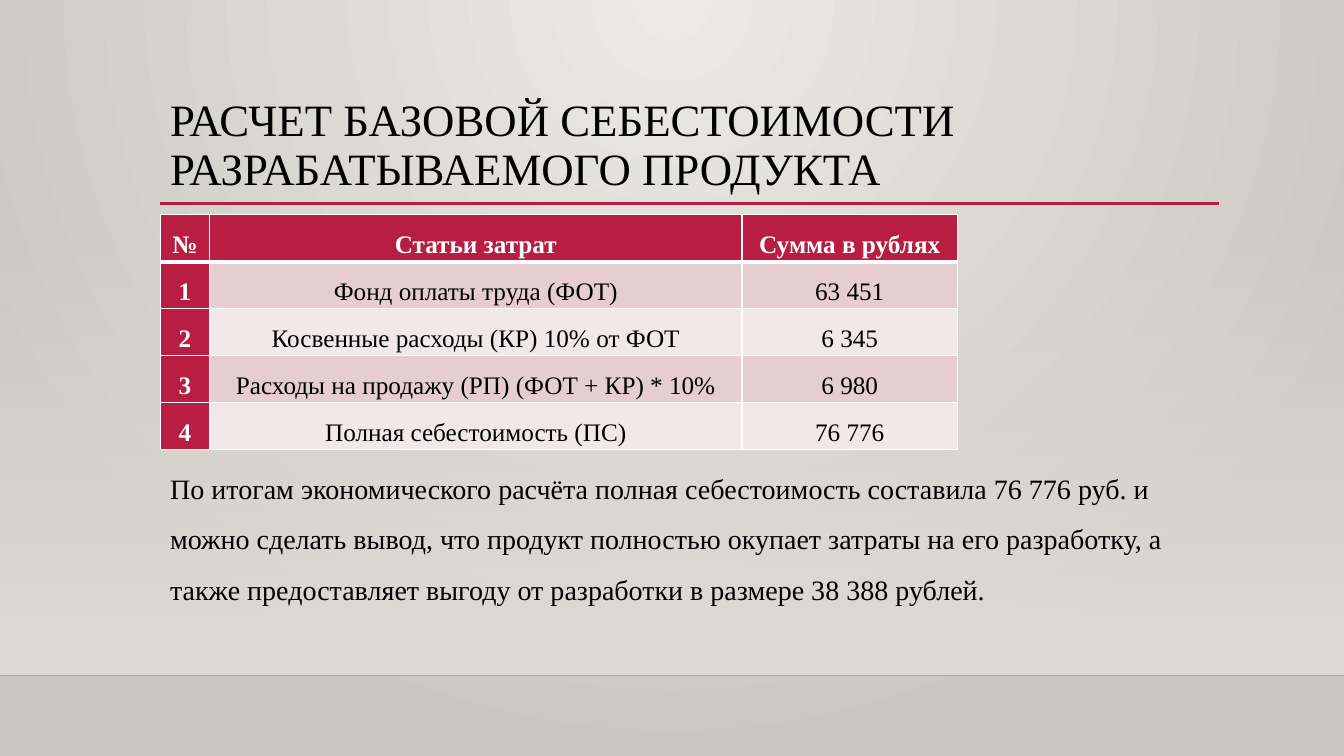
from lxml import etree
from pptx import Presentation
from pptx import util as u
from pptx.dml import color
from pptx.enum import shapes, text
from pptx.oxml import ns

FONT = "Times New Roman"
COLORS = {
    "light": "ECEAE7", "dark": "CAC7C1", "wall": "DFDBD5", "edge": "000001",
    "accent": "B71E42", "odd": "E6CDCF", "even": "F3E8E9",
    "ink": "000000", "white": "FFFFFF",
}
TITLE = "РАСЧЕТ БАЗОВОЙ СЕБЕСТОИМОСТИ РАЗРАБАТЫВАЕМОГО ПРОДУКТА"
COSTS = [
    ("№", "Статьи затрат", "Сумма в рублях"),
    ("1", "Фонд оплаты труда (ФОТ)", "63 451"),
    ("2", "Косвенные расходы (КР) 10% от ФОТ", "6 345"),
    ("3", "Расходы на продажу (РП) (ФОТ + КР) * 10%", "6 980"),
    ("4", "Полная себестоимость (ПС)", "76 776"),
]
CONCLUSION = (
    "По итогам экономического расчёта полная себестоимость составила 76 776 руб. "
    "и можно сделать вывод, что продукт полностью окупает затраты на его разработку, "
    "а также предоставляет выгоду от разработки в размере 38 388 рублей."
)


def rgb(name):
    """Return the named colour."""
    return color.RGBColor.from_string(COLORS[name])


def add(parent, tag, **attributes):
    """Append a DrawingML element and return it."""
    return etree.SubElement(parent, ns.qn(tag), attributes)


def set_gradient(fill, names):
    """Give a fill a gradient between two named colours."""
    fill.gradient()
    for stop, name in zip(fill.gradient_stops, names):
        stop.color.rgb = rgb(name)


def set_alpha(shape, percent):
    """Make the first colour of a shape transparent."""
    first = next(shape._element.spPr.iter(ns.qn("a:srgbClr")))
    add(first, "a:alpha", val=str(percent * 1000))


def style(paragraph, size, ink, spacing, bold=False):
    """Set the font and line spacing of a paragraph."""
    font = paragraph.font
    font.name, font.size, font.bold = FONT, u.Pt(size), bold
    font.color.rgb = rgb(ink)
    paragraph.line_spacing = spacing


def draw_rule(slide, left, top, width, ink, weight):
    """Draw a horizontal line without a shadow."""
    rule = slide.shapes.add_connector(
        shapes.MSO_CONNECTOR.STRAIGHT, u.Pt(left), u.Pt(top), u.Pt(left + width), u.Pt(top))
    rule.line.color.rgb = rgb(ink)
    rule.line.width = u.Pt(weight)
    add(rule._element.spPr, "a:effectLst")
    return rule


def draw_backdrop(slide, width, top, height):
    """Paint the background, the wall and the edge of the floor."""
    set_gradient(slide.background.fill, ("light", "dark"))
    glow = next(slide._element.iter(ns.qn("a:gradFill")))
    glow.remove(glow.find(ns.qn("a:lin")))
    circle = add(glow, "a:path", path="circle")
    add(circle, "a:fillToRect", l="43000", t="0", r="43000", b="100000")

    wall = slide.shapes.add_shape(
        shapes.MSO_SHAPE.RECTANGLE, 0, u.Pt(top), u.Pt(width), u.Pt(height))
    wall.shadow.inherit = False
    wall.line.fill.background()
    set_gradient(wall.fill, ("wall", "wall"))
    wall.fill.gradient_angle = 270
    set_alpha(wall, 0)
    set_alpha(draw_rule(slide, 0, top + height, width, "edge", 1), 20)


def draw_text(slide, left, top, width, height, wording, size, spacing, anchor):
    """Place one wrapped paragraph in a box."""
    box = slide.shapes.add_textbox(u.Pt(left), u.Pt(top), u.Pt(width), u.Pt(height))
    frame = box.text_frame
    frame.word_wrap = True
    frame.vertical_anchor = anchor
    frame.text = wording
    style(frame.paragraphs[0], size, "ink", spacing)


def set_borders(cell, top, bottom):
    """Draw white borders round a cell, with the given top and bottom weights."""
    properties = cell._tc.get_or_add_tcPr()
    weights = {"a:lnL": 1, "a:lnR": 1, "a:lnT": top, "a:lnB": bottom}
    for position, (tag, weight) in enumerate(weights.items()):
        border = add(properties, tag, w=str(u.Pt(weight)))
        add(add(border, "a:solidFill"), "a:srgbClr", val=COLORS["white"])
        properties.insert(position, border)


def draw_costs(slide, left, top, widths, row_height):
    """Build the cost table."""
    costs = slide.shapes.add_table(
        len(COSTS), len(widths), u.Pt(left), u.Pt(top),
        u.Pt(sum(widths)), u.Pt(row_height * len(COSTS))).table
    for column, width in zip(costs.columns, widths):
        column.width = u.Pt(width)
    for r, entries in enumerate(COSTS):
        costs.rows[r].height = u.Pt(row_height)
        for c, entry in enumerate(entries):
            cell = costs.cell(r, c)
            heading = r == 0 or c == 0
            cell.text = entry
            cell.vertical_anchor = text.MSO_ANCHOR.MIDDLE
            cell.margin_left = cell.margin_right = u.Pt(5)
            cell.margin_top = cell.margin_bottom = 0
            cell.fill.solid()
            cell.fill.fore_color.rgb = rgb("accent" if heading else "odd" if r % 2 else "even")
            line = cell.text_frame.paragraphs[0]
            line.alignment = text.PP_ALIGN.CENTER
            style(line, 18, "white" if heading else "ink", 1.5, heading)
            set_borders(cell, 3 if r == 1 else 1, 3 if r == 0 else 1)


def main():
    """Build and save the slide."""
    deck = Presentation()
    deck.slide_width, deck.slide_height = u.Pt(960), u.Pt(540)
    slide = deck.slides.add_slide(deck.slide_layouts[6])
    left, width = 114.5, 756
    draw_backdrop(slide, 960, 159, 323.5)
    draw_rule(slide, left, 145.3, width, "accent", 2.5)
    draw_text(slide, left, 63.4, width, 82.6, TITLE, 32, 0.9, text.MSO_ANCHOR.MIDDLE)
    draw_costs(slide, left, 153.5, (35.3, 380.2, 154), 33.55)
    draw_text(slide, left, 321.3, width, 112.3, CONCLUSION, 20, 1.5, text.MSO_ANCHOR.TOP)
    deck.save("out.pptx")


if __name__ == "__main__":
    main()
